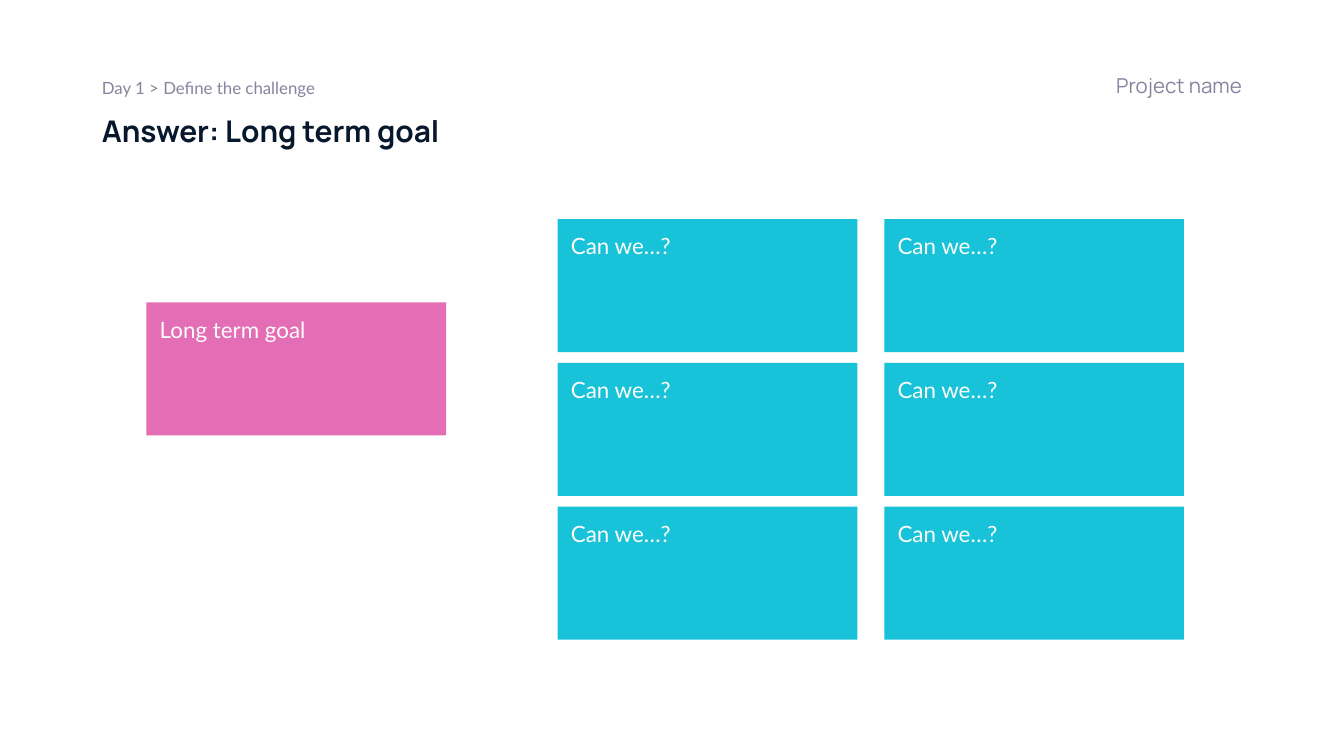
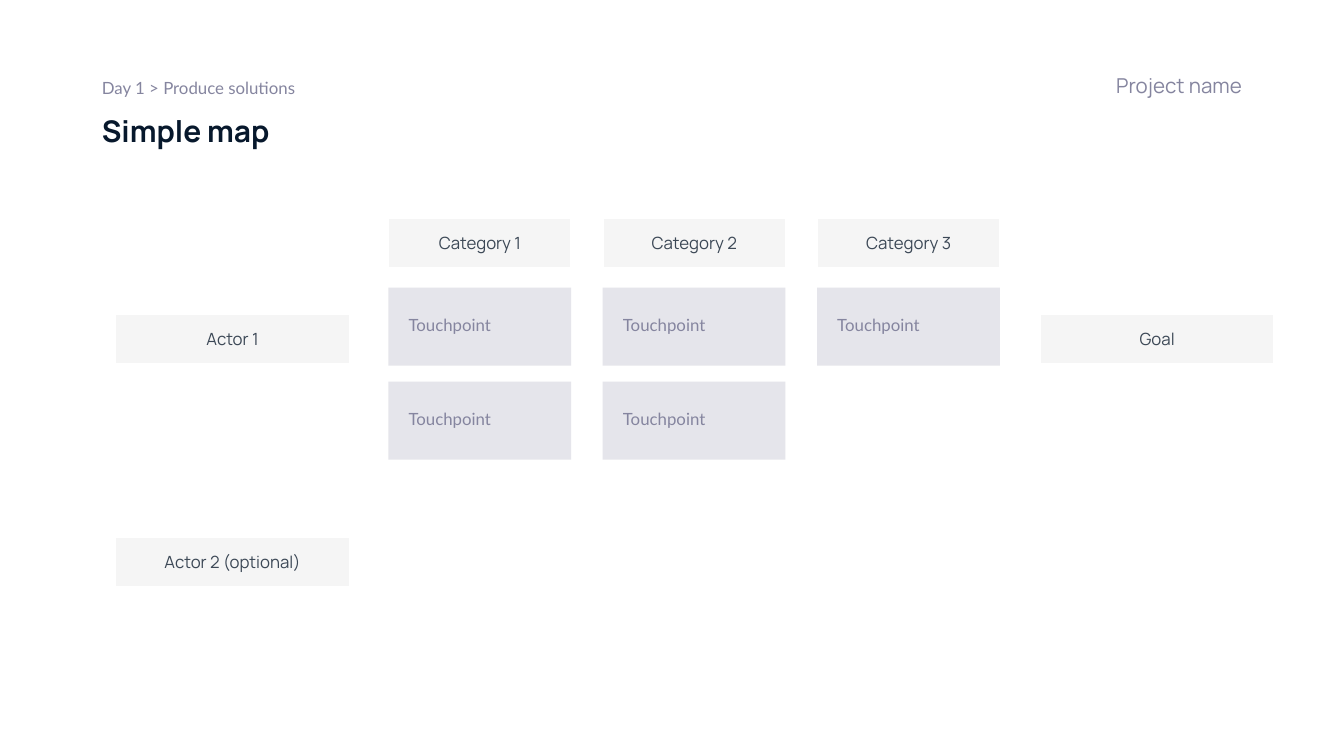
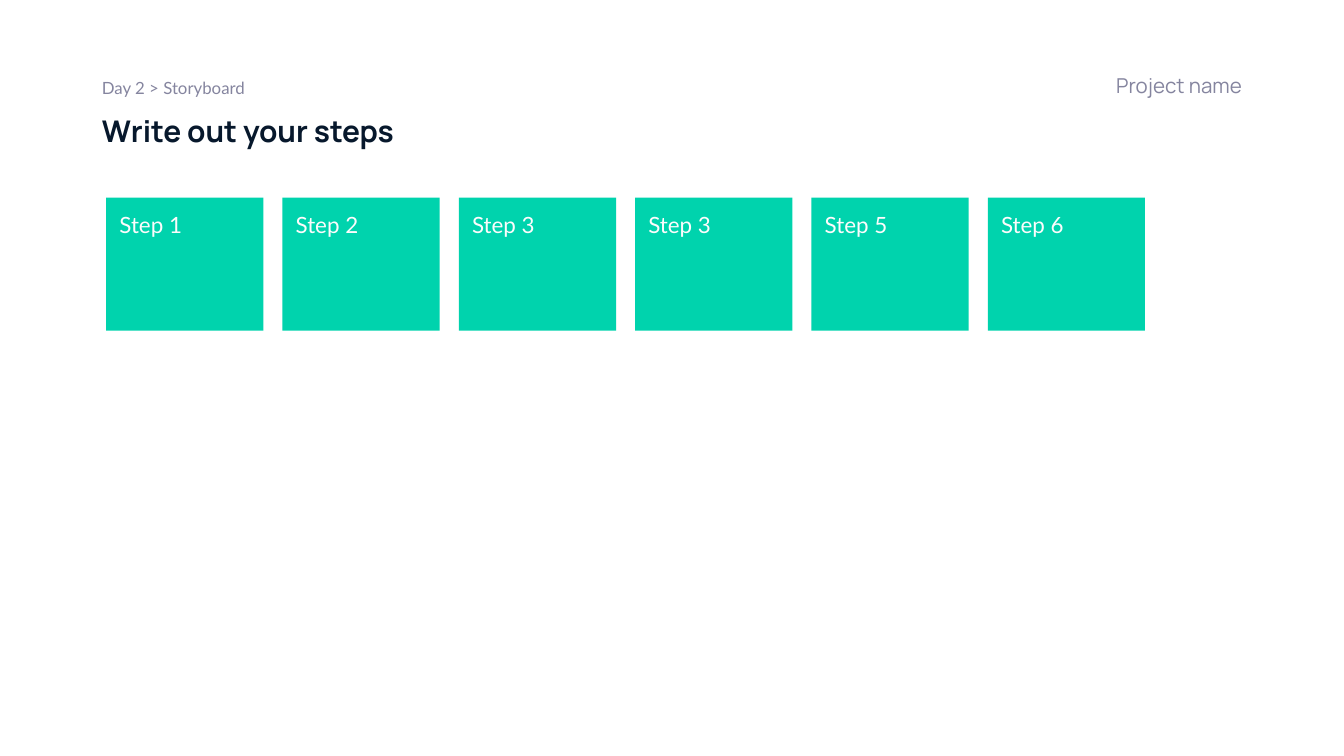
import pptx
import pptx.util
import pptx.dml.color
import pptx.enum.shapes
import pptx.enum.text

Inches = pptx.util.Inches
RGBColor = pptx.dml.color.RGBColor
ALIGN = pptx.enum.text.PP_ALIGN
ANCHOR = pptx.enum.text.MSO_ANCHOR

# Content
PROJECT = "Project name"
GOAL_PAGE = ("Day 1 > Define the challenge", "Answer: Long term goal")
MAP_PAGE = ("Day 1 > Produce solutions", "Simple map")
STEPS_PAGE = ("Day 2 > Storyboard", "Write out your steps")

LONG_TERM_GOAL = "Long term goal"
QUESTIONS = [["Can we…?", "Can we…?"],
             ["Can we…?", "Can we…?"],
             ["Can we…?", "Can we…?"]]
JOURNEY = [("Category 1", ["Touchpoint", "Touchpoint"]),
           ("Category 2", ["Touchpoint", "Touchpoint"]),
           ("Category 3", ["Touchpoint"])]
ENDPOINTS = [("Goal", 7.74, 2.34),
             ("Actor 1", 0.86, 2.34),
             ("Actor 2 (optional)", 0.86, 4)]
STEPS = ["Step 1", "Step 2", "Step 3", "Step 3", "Step 5", "Step 6"]

# Colours and fonts
WHITE = RGBColor(0xFF, 0xFF, 0xFF)
NAVY = RGBColor(0x07, 0x18, 0x2C)
MUTED = RGBColor(0x85, 0x85, 0x9F)
SLATE = RGBColor(0x3C, 0x48, 0x56)
NOTE_TEXT = RGBColor(0xFC, 0xFC, 0xFC)
CYAN = RGBColor(0x18, 0xC3, 0xD9)
PINK = RGBColor(0xE4, 0x6E, 0xB5)
GREEN = RGBColor(0x00, 0xD3, 0xAD)
LAVENDER = RGBColor(0xE5, 0xE5, 0xEB)
PALE_GREY = RGBColor(0xF5, 0xF5, 0xF5)
HEADING_FONT = "Manrope"
BODY_FONT = "Lato"

# Shared sizes, in inches
NOTE_HEIGHT = 0.99
WIDE_NOTE = 2.23
STEP_WIDTH = 1.17
CATEGORY_WIDTH = 1.36
ENDPOINT_WIDTH = 1.74
HEADER_HEIGHT = 0.37


def write(frame, text, size, font, color, bold=False, align=ALIGN.LEFT):
    frame.text = text
    paragraph = frame.paragraphs[0]
    paragraph.alignment = align
    run = paragraph.runs[0]
    run.font.size = pptx.util.Pt(size)
    run.font.name = font
    run.font.bold = bold
    run.font.color.rgb = color


def set_insets(holder, side=0.1, bottom=0.1):
    holder.margin_left = holder.margin_right = Inches(side)
    holder.margin_top = Inches(0.1)
    holder.margin_bottom = Inches(bottom)


def add_label(slide, box, *style, anchor=ANCHOR.TOP, bottom=0.1, **options):
    frame = slide.shapes.add_textbox(*map(Inches, box)).text_frame
    frame.word_wrap = True
    frame.vertical_anchor = anchor
    set_insets(frame, bottom=bottom)
    write(frame, *style, **options)


def add_page(deck, breadcrumb, title):
    slide = deck.slides.add_slide(deck.slide_layouts[6])
    slide.background.fill.solid()
    slide.background.fill.fore_color.rgb = WHITE
    add_label(slide, (0.66, 0.74, 6.49, 0.47), title, 16, HEADING_FONT, NAVY,
              bottom=0.08, bold=True)
    add_label(slide, (5, 0.46, 4.34, 0.33), PROJECT, 11, HEADING_FONT, MUTED,
              anchor=ANCHOR.BOTTOM, bottom=0.06, align=ALIGN.RIGHT)
    add_label(slide, (0.66, 0.48, 2.14, 0.27), breadcrumb, 9, BODY_FONT, MUTED, bottom=0)
    return slide


def add_card(slide, box, fill, anchor, side, *style):
    card = slide.shapes.add_shape(pptx.enum.shapes.MSO_SHAPE.RECTANGLE, *map(Inches, box))
    card.shadow.inherit = False
    card.fill.solid()
    card.fill.fore_color.rgb = fill
    card.line.fill.background()
    frame = card.text_frame
    frame.word_wrap = True
    frame.vertical_anchor = anchor
    set_insets(frame, side)
    write(frame, *style)
    return card


def add_note(slide, left, top, width, text, fill):
    add_card(slide, (left, top, width, NOTE_HEIGHT), fill, ANCHOR.TOP, 0.1,
             text, 12, BODY_FONT, NOTE_TEXT)


def add_touchpoint(slide, left, top, text):
    card = add_card(slide, (left, top, CATEGORY_WIDTH, 0.58), LAVENDER, ANCHOR.MIDDLE, 0.15,
                    text, 9, BODY_FONT, MUTED)
    card.text_frame.paragraphs[0].line_spacing = 0.8


def add_header(slide, left, top, width, text):
    box = map(Inches, (left, top, width, HEADER_HEIGHT))
    table = slide.shapes.add_table(1, 2, *box).table
    table.first_row = table.horz_banding = False
    for cell in table.iter_cells():
        cell.fill.solid()
        cell.fill.fore_color.rgb = PALE_GREY
        set_insets(cell, 0.12)
    heading = table.cell(0, 0)
    heading.merge(table.cell(0, 1))
    write(heading.text_frame, text, 9, HEADING_FONT, SLATE, align=ALIGN.CENTER)


def build_goal(deck):
    slide = add_page(deck, *GOAL_PAGE)
    for row, questions in enumerate(QUESTIONS):
        for column, question in enumerate(questions):
            add_note(slide, 4.15 + column * 2.43, 1.63 + row * 1.07, WIDE_NOTE, question, CYAN)
    add_note(slide, 1.09, 2.25, WIDE_NOTE, LONG_TERM_GOAL, PINK)


def build_map(deck):
    slide = add_page(deck, *MAP_PAGE)
    pitch = (6.08 - 2.89) / (len(JOURNEY) - 1)
    for column, (category, touchpoints) in enumerate(JOURNEY):
        left = 2.89 + column * pitch
        add_header(slide, left, 1.62, CATEGORY_WIDTH, category)
        for row, touchpoint in enumerate(touchpoints):
            add_touchpoint(slide, left, 2.14 + row * 0.7, touchpoint)
    for name, left, top in ENDPOINTS:
        add_header(slide, left, top, ENDPOINT_WIDTH, name)


def build_steps(deck):
    slide = add_page(deck, *STEPS_PAGE)
    pitch = (7.35 - 0.79) / (len(STEPS) - 1)
    for column, step in enumerate(STEPS):
        add_note(slide, 0.79 + column * pitch, 1.47, STEP_WIDTH, step, GREEN)


def main():
    deck = pptx.Presentation()
    deck.slide_width = Inches(10)
    deck.slide_height = deck.slide_width * 9 // 16
    build_goal(deck)
    build_map(deck)
    build_steps(deck)
    deck.save("out.pptx")


if __name__ == "__main__":
    main()
